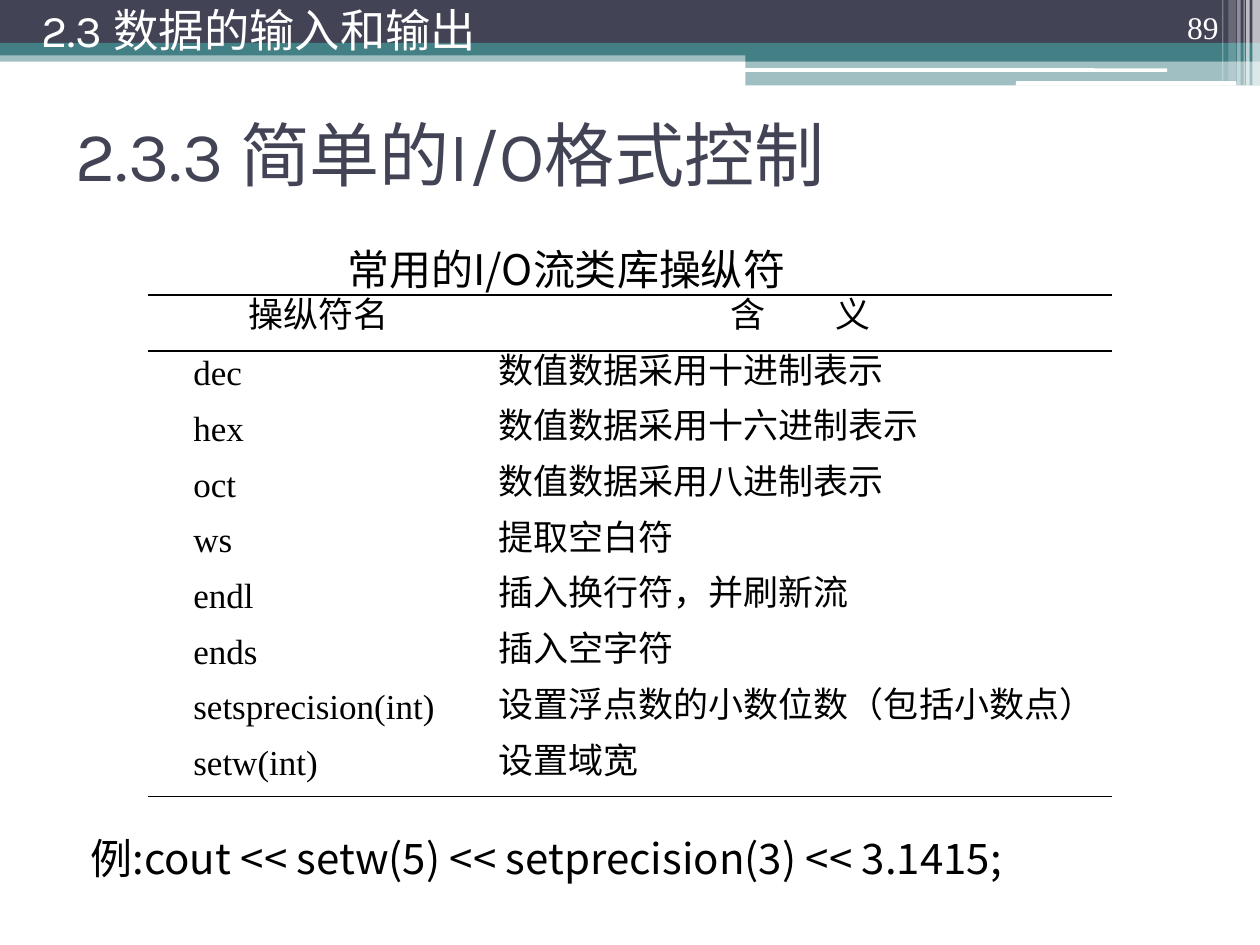
"""Build a slide on simple I/O format control with a table of stream manipulators."""
from dataclasses import dataclass

from lxml import etree
from pptx import Presentation
from pptx import util as u
from pptx.dml.color import RGBColor
from pptx.enum import shapes, text
from pptx.oxml import ns


@dataclass(frozen=True)
class Theme:
    """Colours, fonts and type sizes of the slide."""
    navy: str = "424456"
    teal: str = "438086"
    white: str = "FFFFFF"
    black: str = "000000"
    heading_font: str = "Karla"
    body_font: str = "Noto Sans CJK SC"
    serif_font: str = "Times New Roman"
    title_size: float = 40
    section_size: float = 25.9
    body_size: float = 24
    table_size: float = 20
    number_size: float = 18


THEME = Theme()

BANDS = [
    (0, 28.8, 720, 6.5, THEME.teal, 50),
    (0, 0, 720, 24.5, THEME.navy, 100),
    (0, 24.5, 720, 7.2, THEME.teal, 100),
    (426, 28.1, 294, 7, THEME.teal, 100),
    (426, 34.6, 294, 14.2, THEME.teal, 50),
]
HIGHLIGHTS = [(425.5, 39, 241.5, 2), (580.5, 46.4, 126, 2.6)]
STRIPES = [
    (715.7, 4.3, 48.8, 65),
    (712.1, 2, 48.8, 65),
    (710.6, 0.7, 48.8, 60),
    (707, 2, 48.8, 40),
    (702, 4.3, 46.1, 20),
    (698.4, 0.7, 46.1, 30),
]
MANIPULATORS = [
    ("操纵符名", "含　　义"),
    ("dec", "数值数据采用十进制表示"),
    ("hex", "数值数据采用十六进制表示"),
    ("oct", "数值数据采用八进制表示"),
    ("ws", "提取空白符"),
    ("endl", "插入换行符，并刷新流"),
    ("ends", "插入空字符"),
    ("setsprecision(int)", "设置浮点数的小数位数（包括小数点）"),
    ("setw(int)", "设置域宽"),
]


def points(*values):
    """Turn numbers into lengths in points."""
    return [u.Pt(value) for value in values]


def add_block(slide, box, color, opacity=100, kind=shapes.MSO_SHAPE.RECTANGLE):
    """Add a borderless block with an optional transparency."""
    shape = slide.shapes.add_shape(kind, *points(*box))
    shape.shadow.inherit = False
    shape.line.fill.background()
    shape.fill.solid()
    shape.fill.fore_color.rgb = RGBColor.from_string(color)
    if opacity < 100:
        fill_color = shape.fill._xPr.find(".//" + ns.qn("a:srgbClr"))
        etree.SubElement(fill_color, ns.qn("a:alpha"), val=str(opacity * 1000))


def style_paragraph(paragraph, font_name, size, color, align):
    """Set the font and alignment of a paragraph."""
    font = paragraph.font
    font.name, font.size = font_name, u.Pt(size)
    font.color.rgb = RGBColor.from_string(color)
    etree.SubElement(font._element, ns.qn("a:ea"), typeface=THEME.body_font)
    paragraph.alignment = align


def add_label(slide, box, words, font_name, size, color,
              anchor=text.MSO_ANCHOR.TOP, align=text.PP_ALIGN.LEFT):
    """Add a wrapped text box with one paragraph."""
    frame = slide.shapes.add_textbox(*points(*box)).text_frame
    frame.word_wrap = True
    frame.vertical_anchor = anchor
    frame.paragraphs[0].text = words
    style_paragraph(frame.paragraphs[0], font_name, size, color, align)


def set_rules(cell, visible):
    """Draw one-point rules on the named sides of a cell and clear the others."""
    properties = cell._tc.get_or_add_tcPr()
    for side in "LRTB":
        line = etree.SubElement(properties, ns.qn(f"a:ln{side}"), w=str(u.Pt(1)))
        if side in visible:
            fill = etree.SubElement(line, ns.qn("a:solidFill"))
            etree.SubElement(fill, ns.qn("a:srgbClr"), val=THEME.black)
        else:
            etree.SubElement(line, ns.qn("a:noFill"))


def fill_cell(cell, words, align, rules):
    """Write one table cell with an indented line and its rules."""
    cell.margin_left, cell.margin_top, cell.margin_right, cell.margin_bottom = points(5, 8.6, 5, 0)
    paragraph = cell.text_frame.paragraphs[0]
    paragraph.text = words
    style_paragraph(paragraph, THEME.serif_font, THEME.table_size, THEME.black, align)
    paragraph.line_spacing = u.Pt(15.6)
    paragraph._p.get_or_add_pPr().set("indent", str(u.Pt(21)))
    set_rules(cell, rules)
    cell.fill.background()


def add_manipulator_table(slide):
    """Add the table with rules around the header and below the last row."""
    last = len(MANIPULATORS) - 1
    frame = slide.shapes.add_table(last + 1, 2, *points(84.5, 168.7, 551, 286.6))
    table = frame.table
    table.first_row = table.horz_banding = False
    for column, width in zip(table.columns, points(174.3, 376.7)):
        column.width = width
    for index, entries in enumerate(MANIPULATORS):
        table.rows[index].height = u.Pt(31.85)
        align = text.PP_ALIGN.JUSTIFY if index else text.PP_ALIGN.CENTER
        rules = {0: "TB", 1: "T", last: "B"}.get(index, "")
        for cell, words in zip(table.rows[index].cells, entries):
            fill_cell(cell, words, align, rules)


def add_header(slide):
    """Add the bands, highlights and stripes along the top edge."""
    for *box, color, opacity in BANDS:
        add_block(slide, box, color, opacity)
    for box in HIGHLIGHTS:
        add_block(slide, box, THEME.white, kind=shapes.MSO_SHAPE.ROUNDED_RECTANGLE)
    for left, width, height, opacity in STRIPES:
        add_block(slide, (left, 0, width, height), THEME.white, opacity)


def main():
    """Build and save the slide."""
    presentation = Presentation()
    presentation.slide_width, presentation.slide_height = points(720, 540)
    slide = presentation.slides.add_slide(presentation.slide_layouts[6])
    middle = text.MSO_ANCHOR.MIDDLE
    add_header(slide)
    add_label(slide, (36, 45.4, 648, 84.2), "2.3.3 简单的I/O格式控制",
              THEME.heading_font, THEME.title_size, THEME.navy, middle)
    add_manipulator_table(slide)
    add_label(slide, (643.7, 0.7, 59.8, 28.8), "89", THEME.serif_font,
              THEME.number_size, THEME.white, text.MSO_ANCHOR.BOTTOM, text.PP_ALIGN.RIGHT)
    add_label(slide, (16.6, 0, 635.8, 33.8), "2.3 数据的输入和输出",
              THEME.heading_font, THEME.section_size, THEME.white, middle)
    add_label(slide, (191.5, 135.4, 320.4, 36.7), "常用的I/O流类库操纵符",
              THEME.body_font, THEME.body_size, THEME.black)
    add_label(slide, (44.6, 472.3, 613.4, 36.7),
              "例:cout << setw(5) << setprecision(3) << 3.1415;",
              THEME.body_font, THEME.body_size, THEME.black)
    presentation.save("out.pptx")


if __name__ == "__main__":
    main()
